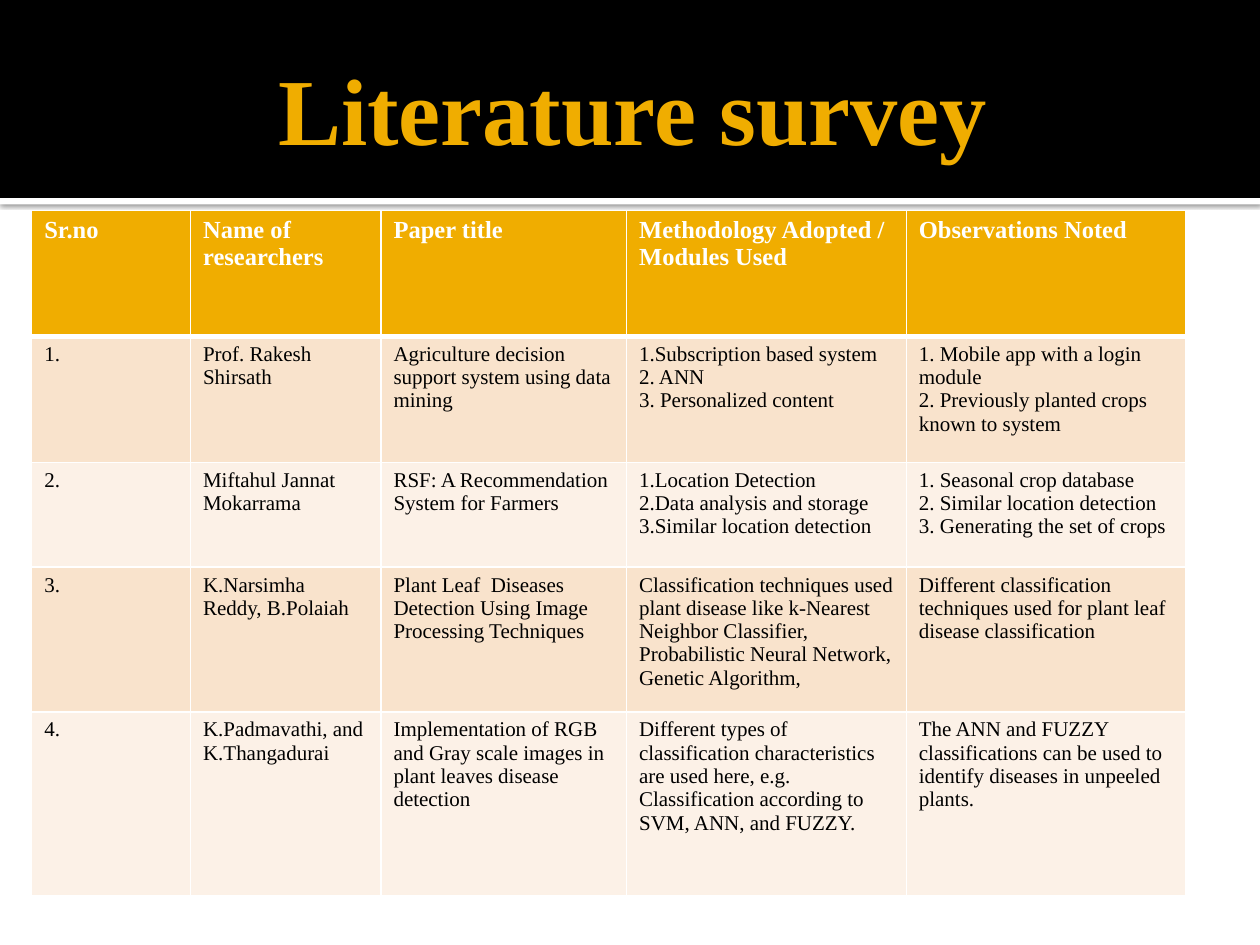
from lxml.etree import SubElement
from pptx import Presentation
from pptx.dml.color import RGBColor
from pptx.enum.shapes import MSO_SHAPE
from pptx.enum.text import MSO_ANCHOR, PP_ALIGN
from pptx.oxml.ns import qn
from pptx.util import Cm, Pt

THEME = dict(font="Times New Roman", gold="F0AD00", white="FFFFFF", black="000000",
             bands=("F9E3CC", "FCF1E7"), title=54, head=14, body=12)

TITLE = "Literature survey"
HEADER = ["Sr.no", "Name of researchers", "Paper title",
          "Methodology Adopted / Modules Used", "Observations Noted"]
# Each string in a cell's list is a paragraph
PAPERS = [
    ("Prof. Rakesh Shirsath",
     "Agriculture decision support system using data mining",
     ["1.Subscription based system", "2. ANN", "3. Personalized content"],
     ["1. Mobile app with a login module",
      "2. Previously planted crops known to system"]),
    ("Miftahul Jannat Mokarrama",
     "RSF: A Recommendation System for Farmers",
     ["1.Location Detection", "2.Data analysis and storage",
      "3.Similar location detection"],
     ["1. Seasonal crop database", "2. Similar location detection",
      "3. Generating the set of crops"]),
    ("K.Narsimha Reddy, B.Polaiah",
     "Plant Leaf  Diseases Detection Using Image Processing Techniques",
     "Classification techniques used plant disease like k-Nearest Neighbor "
     "Classifier, Probabilistic Neural Network, Genetic Algorithm,",
     "Different classification techniques used for plant leaf disease classification"),
    ("K.Padmavathi, and K.Thangadurai",
     "Implementation of RGB and Gray scale images in plant leaves disease detection",
     "Different types of classification characteristics are used here, e.g. "
     "Classification according to SVM, ANN, and FUZZY.",
     "The ANN and FUZZY classifications can be used to identify diseases in "
     "unpeeled plants."),
]
SLIDE_W, SLIDE_H = 25.4, 19.05
BAND_H, STRIP_H = 3.99, 0.13
TABLE_LEFT, TABLE_TOP = 0.64, 4.24
COLS = [3.2, 3.84, 4.95, 5.64, 5.64]
ROWS = [2.54, 2.54, 2.11, 2.92, 3.7]


def rgb(name):
    return RGBColor.from_string(THEME.get(name, name))


def write(tf, text, size, color, bold=False, align=PP_ALIGN.LEFT):
    paragraphs = [text] if isinstance(text, str) else text
    for i, line in enumerate(paragraphs):
        p = tf.add_paragraph() if i else tf.paragraphs[0]
        p.alignment = align
        r = p.add_run()
        r.text = line
        r.font.name, r.font.size, r.font.bold = THEME["font"], Pt(size), bold
        r.font.color.rgb = rgb(color)


def add_bar(s, top, height, color):
    bar = s.shapes.add_shape(MSO_SHAPE.RECTANGLE, 0, Cm(top), Cm(SLIDE_W), Cm(height))
    bar.shadow.inherit = False
    bar.fill.solid()
    bar.fill.fore_color.rgb = rgb(color)
    bar.line.fill.background()
    return bar


def drop_shadow(shape, blur, dist, alpha):
    effects = shape._element.spPr.find(qn("a:effectLst"))
    shadow = SubElement(effects, qn("a:outerShdw"), blurRad=str(Pt(blur)),
                        dist=str(Pt(dist)), dir="5400000", rotWithShape="0")
    clr = SubElement(shadow, qn("a:srgbClr"), val=THEME["black"])
    SubElement(clr, qn("a:alpha"), val=str(alpha * 1000))


def set_borders(cell, top, bottom):
    """Draw white cell borders; call before the fill, which must follow them in the XML."""
    tcPr = cell._tc.get_or_add_tcPr()
    for side, width in (("L", 1), ("R", 1), ("T", top), ("B", bottom)):
        ln = SubElement(tcPr, qn("a:ln" + side), w=str(Pt(width)))
        SubElement(SubElement(ln, qn("a:solidFill")), qn("a:srgbClr"), val=THEME["white"])


def add_title(s):
    title = s.shapes.title
    title.left, title.top, title.width, title.height = Cm(1.27), Cm(0.43), Cm(22.86), Cm(3.48)
    tf = title.text_frame
    tf.vertical_anchor = MSO_ANCHOR.MIDDLE
    tf.margin_left = Cm(0.25)
    tf.margin_right = tf.margin_top = tf.margin_bottom = Cm(0.13)
    write(tf, TITLE, THEME["title"], "gold", bold=True, align=PP_ALIGN.CENTER)
    s.shapes._spTree.append(title._element)  # in front of the band


def add_survey(s):
    data = [HEADER] + [(f"{n}.", *paper) for n, paper in enumerate(PAPERS, 1)]
    table = s.shapes.add_table(len(ROWS), len(COLS), Cm(TABLE_LEFT), Cm(TABLE_TOP),
                               Cm(sum(COLS)), Cm(sum(ROWS))).table
    for column, width in zip(table.columns, COLS):
        column.width = Cm(width)
    for i, (row, height, texts) in enumerate(zip(table.rows, ROWS, data)):
        row.height = Cm(height)
        head = i == 0
        for cell, text in zip(row.cells, texts):
            set_borders(cell, top=3 if i == 1 else 1, bottom=3 if head else 1)
            cell.fill.solid()
            cell.fill.fore_color.rgb = rgb("gold" if head else THEME["bands"][(i - 1) % 2])
            write(cell.text_frame, text, THEME["head" if head else "body"],
                  "white" if head else "black", bold=head)


def main():
    prs = Presentation()
    prs.slide_width, prs.slide_height = Cm(SLIDE_W), Cm(SLIDE_H)
    s = prs.slides.add_slide(prs.slide_layouts[5])
    s.background.fill.solid()
    s.background.fill.fore_color.rgb = rgb("white")
    strip = add_bar(s, BAND_H, STRIP_H, "white")
    drop_shadow(strip, blur=2.5, dist=0.8, alpha=60)
    add_bar(s, 0, BAND_H, "black")
    add_title(s)
    add_survey(s)
    prs.save("out.pptx")


if __name__ == "__main__":
    main()
